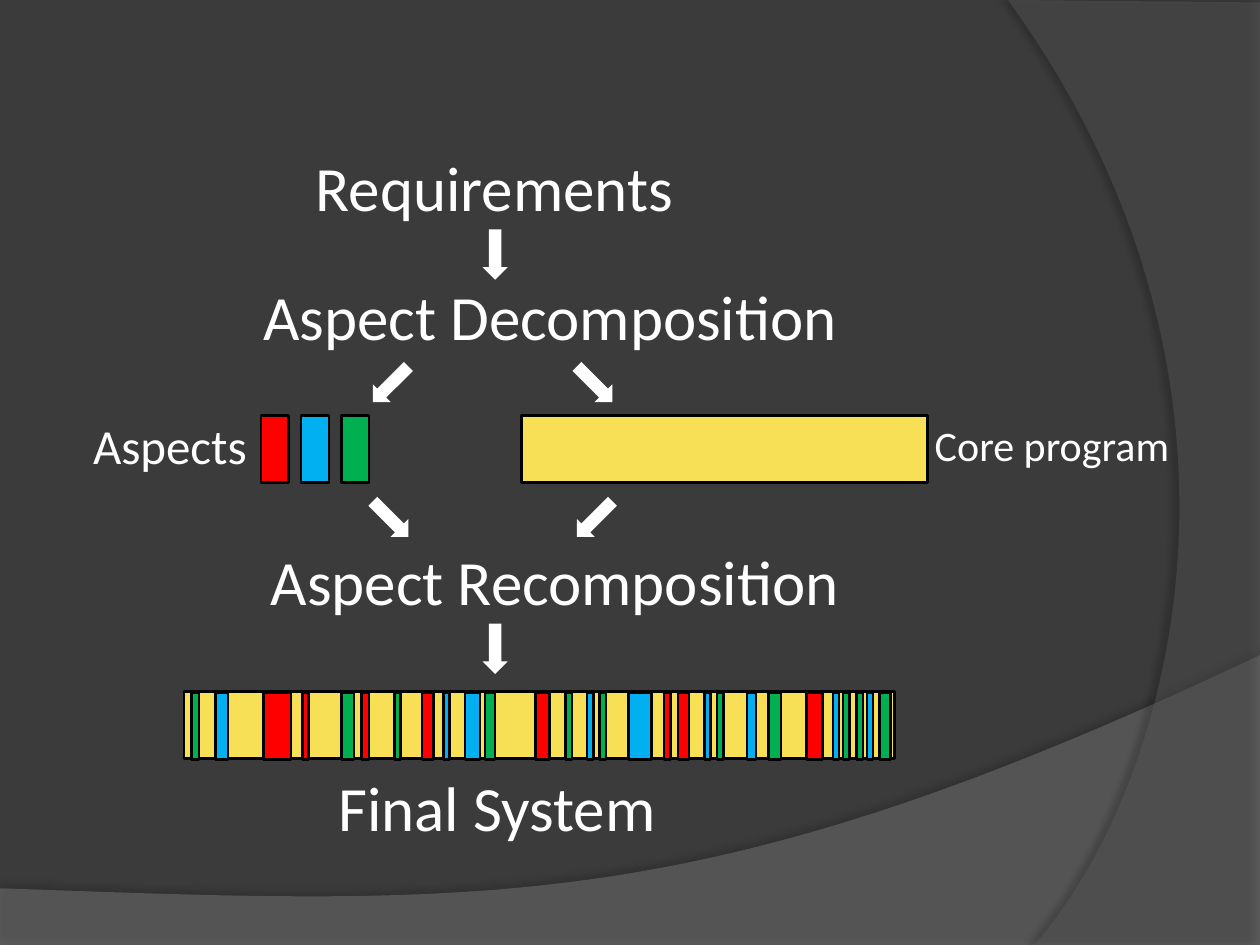
from lxml.etree import SubElement
from pptx import Presentation
from pptx.dml.color import RGBColor
from pptx.enum.shapes import MSO_SHAPE
from pptx.enum.text import MSO_AUTO_SIZE, PP_ALIGN
from pptx.oxml.ns import qn
from pptx.util import Inches, Pt

THEME = {
    "back": "3B3B3B", "wave": "7F7F7F", "arc": "5E5E5E",
    "white": "FFFFFF", "black": "000000", "core": "F7DF56",
    "R": "FF0000", "B": "00B0F0", "G": "00B050",
    "font": "Calibri", "head": 36, "label": 28, "note": 24, "line": 1.5,
}

# Text: wording, left, top, width, height, size, centred, wrapped
TEXTS = [
    ("Requirements", 2.15, 1.13, 3.55, 0.71, "head", True, True),
    ("Aspect Decomposition", 1.99, 2.15, 4.8, 0.71, "head", False, False),
    ("Aspects", 0.64, 3.25, 1.93, 0.57, "label", False, True),
    ("Core program", 7.32, 3.28, 2.41, 0.5, "note", False, True),
    ("Aspect Recomposition", 2.05, 4.26, 4.76, 0.71, "head", False, False),
    ("Final System", 2.47, 6.05, 2.95, 0.71, "head", True, True),
]
# Arrows: left, top, rotation
ARROWS = [
    (3.83, 1.82, 0), (3, 2.85, 45), (4.62, 2.85, 315),
    (3, 3.92, 315), (4.62, 3.92, 45), (3.83, 4.95, 0),
]
# Aspects woven into the final system: left and width by colour
WOVEN = {
    "R": [(2.09, 0.22), (2.4, 0.05), (2.87, 0.06), (3.35, 0.09), (4.25, 0.11),
          (5.27, 0.05), (5.38, 0.09), (6.4, 0.13)],
    "B": [(1.71, 0.1), (3.52, 0.05), (3.69, 0.12), (4.66, 0.05), (4.99, 0.18),
          (5.59, 0.05), (5.93, 0.07), (6.61, 0.05), (6.88, 0.05)],
    "G": [(1.52, 0.06), (2.71, 0.1), (3.13, 0.05), (3.85, 0.08), (4.49, 0.05),
          (4.76, 0.05), (5.69, 0.05), (6.1, 0.1), (6.69, 0.05), (6.8, 0.05),
          (6.98, 0.09)],
}
BAR = 0.53


def color(name):
    return RGBColor.from_string(THEME[name])


def paint(shape, fill, line=None):
    shape.shadow.inherit = False
    shape.fill.solid()
    shape.fill.fore_color.rgb = color(fill)
    if line:
        shape.line.color.rgb = color(line)
        shape.line.width = Pt(THEME["line"])
    else:
        shape.line.fill.background()


def add_bar(shapes, left, top, width, fill):
    bar = shapes.add_shape(MSO_SHAPE.RECTANGLE, Inches(left), Inches(top),
                           Inches(width), Inches(BAR))
    paint(bar, fill, "black")


def curve(a, b, c, d, steps=60):
    """Points along a cubic curve, without its start."""
    for i in range(1, steps + 1):
        t = i / steps
        u = 1 - t
        yield tuple(u**3 * p + 3 * u * u * t * q + 3 * u * t * t * r + t**3 * s
                    for p, q, r, s in zip(a, b, c, d))


def add_sweep(shapes, points, fill, alpha, shade, blur, dist, angle):
    spots = [(Inches(x), Inches(y)) for x, y in points]
    pen = shapes.build_freeform(*spots[0])
    pen.add_line_segments(spots[1:], close=True)
    sweep = pen.convert_to_shape()
    paint(sweep, fill)
    props = sweep._element.spPr
    tint = props.find(qn("a:solidFill"))[0]
    SubElement(tint, qn("a:alpha"), val=str(alpha * 1000))
    glow = SubElement(props.find(qn("a:effectLst")), qn("a:outerShdw"),
                      blurRad=str(Pt(blur)), dist=str(Pt(dist)),
                      dir=str(angle * 60000), algn="ctr", rotWithShape="0")
    tone = SubElement(glow, qn("a:srgbClr"), val=THEME["black"])
    SubElement(tone, qn("a:alpha"), val=str(shade * 1000))


def add_text(shapes, words, left, top, width, height, size, mid, wrap):
    frame = shapes.add_textbox(Inches(left), Inches(top), Inches(width),
                               Inches(height)).text_frame
    frame.word_wrap = wrap
    frame.auto_size = MSO_AUTO_SIZE.SHAPE_TO_FIT_TEXT
    para = frame.paragraphs[0]
    para.alignment = PP_ALIGN.CENTER if mid else PP_ALIGN.LEFT
    run = para.add_run()
    run.text = words
    run.font.name = THEME["font"]
    run.font.size = Pt(THEME[size])
    run.font.color.rgb = color("white")


def main():
    deck = Presentation()
    deck.slide_width, deck.slide_height = Inches(10), Inches(7.5)
    slide = deck.slides.add_slide(deck.slide_layouts[6])
    slide.background.fill.solid()
    slide.background.fill.fore_color.rgb = color("back")
    shapes = slide.shapes

    # Background sweeps
    wave = [(0, 7.05), (0, 7.5), (10, 7.5), (10, 5.2),
            *curve((10, 5.2), (5.59, 7.29), (3.91, 7.19), (0, 7.05))]
    arc = [(10, 0.02), (10, 7.5), (8.21, 7.5),
           *curve((8.21, 7.5), (9.35, 6.19), (10.18, 3), (8, 0))]
    add_sweep(shapes, wave, "wave", 45, 35, 4, 3.5, 270)
    add_sweep(shapes, arc, "arc", 40, 45, 4, 4, 180)

    # Separate aspects and core program
    for i, fill in enumerate("RBG"):
        add_bar(shapes, 2.07 + 0.32 * i, 3.3, 0.22, fill)
    add_bar(shapes, 4.14, 3.3, 3.22, "core")

    # Final system
    system = shapes.add_group_shape().shapes
    add_bar(system, 1.46, 5.49, 5.64, "core")
    for fill, strips in WOVEN.items():
        for left, width in strips:
            add_bar(system, left, 5.5, width, fill)

    # Arrows and text
    for left, top, turn in ARROWS:
        arrow = shapes.add_shape(MSO_SHAPE.DOWN_ARROW, Inches(left), Inches(top),
                                 Inches(0.2), Inches(0.4))
        arrow.rotation = turn
        paint(arrow, "white")
    for item in TEXTS:
        add_text(shapes, *item)

    deck.save("out.pptx")


if __name__ == "__main__":
    main()
